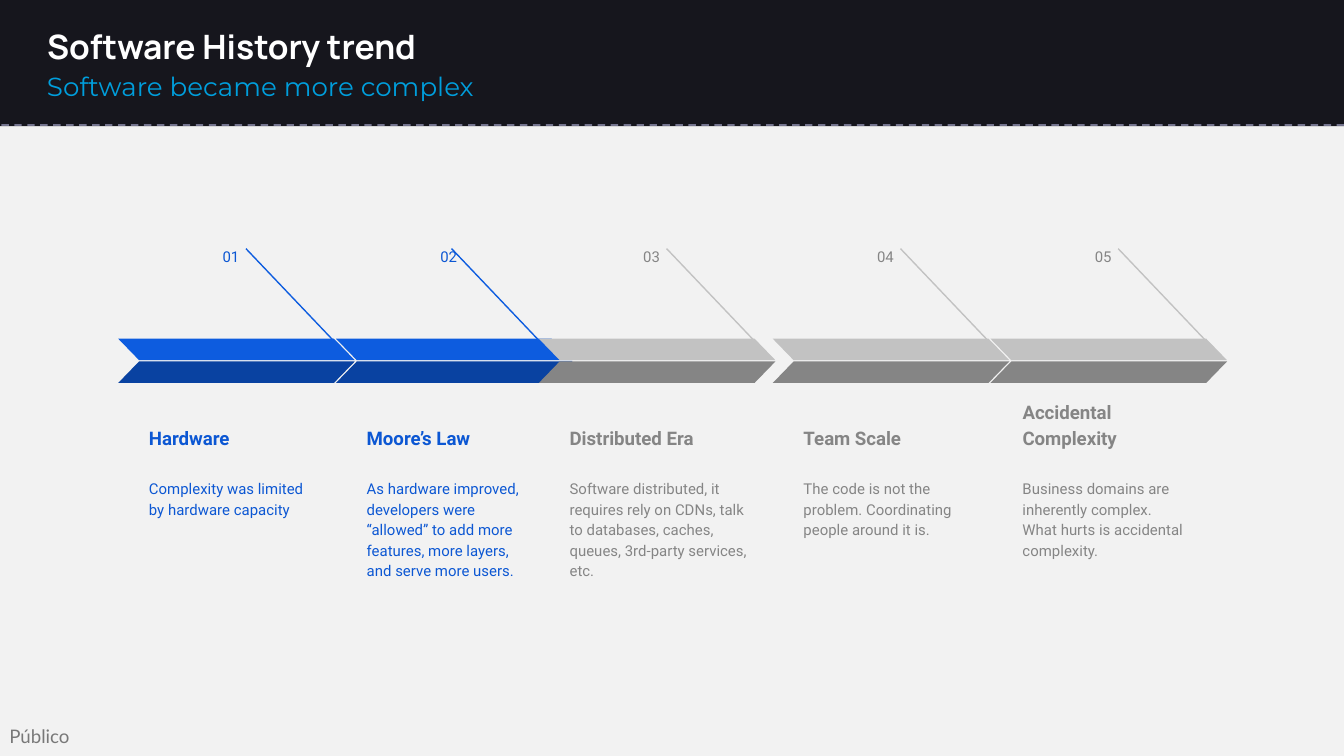
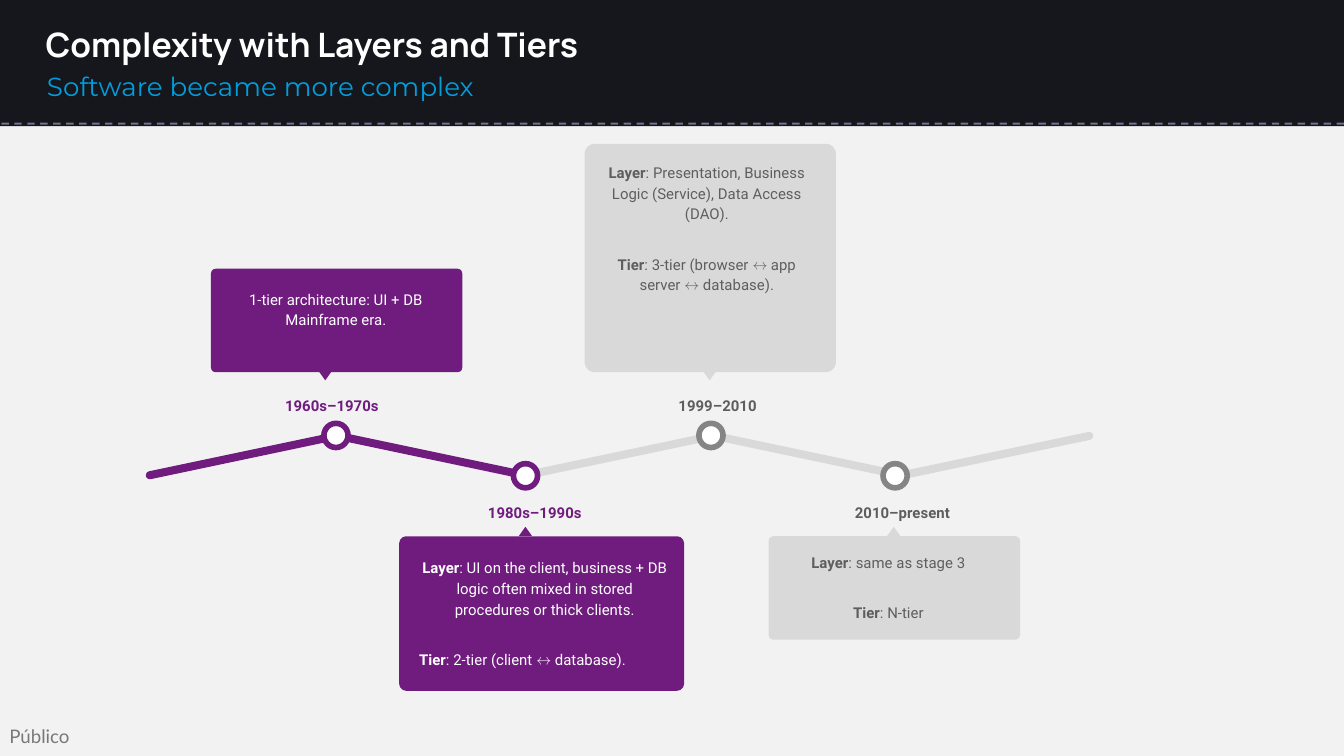
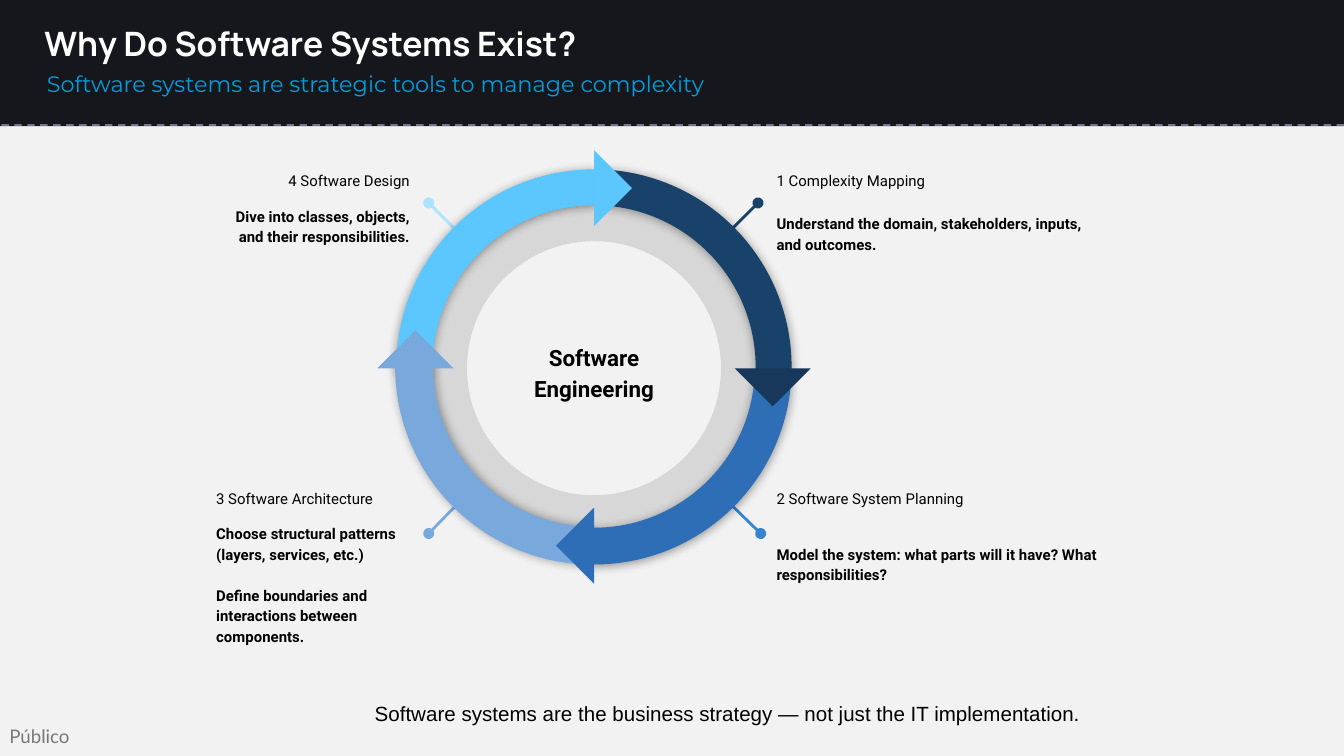
from dataclasses import dataclass
from typing import Any, NamedTuple, Optional

from lxml.etree import SubElement
from pptx import Presentation
from pptx.dml.color import RGBColor
from pptx.enum.dml import MSO_LINE
from pptx.enum.shapes import MSO_CONNECTOR, MSO_SHAPE
from pptx.enum.text import MSO_ANCHOR, MSO_AUTO_SIZE, PP_ALIGN
from pptx.oxml.ns import qn
from pptx.util import Emu, Pt

PX = 9144  # 100 px to the inch
COLORS = {
    "paper": "F2F2F2", "band": "16161D", "white": "FFFFFF", "black": "000000",
    "subtitle": "009EDC", "rule": "D2D2FF",
    "blue": "0D5CDF", "blue_shade": "0942A1", "blue_text": "0C57D3",
    "silver": "C2C2C2", "gray": "858585", "light": "D9D9D9", "dark_text": "5E5E5E",
    "purple": "701C7F",
    "navy": "19426B", "navy_tip": "17375B", "royal": "2E6EB6", "royal_pin": "3984D0",
    "steel": "79A8DD", "sky": "5CC7FF", "sky_pin": "ADE3FF",
}


class Frame(NamedTuple):
    left: int
    top: int
    width: int
    height: int


class Span(NamedTuple):
    text: str
    bold: Optional[bool] = None


class Para(NamedTuple):
    spans: list[Span]
    gap: int = 0
    align: Optional[PP_ALIGN] = None


@dataclass(frozen=True)
class TextStyle:
    font: str
    size: int
    color: str
    bold: bool = False
    align: PP_ALIGN = PP_ALIGN.LEFT
    anchor: MSO_ANCHOR = MSO_ANCHOR.TOP
    spacing: float = 1.15
    inset: tuple[int, int] = (10, 10)
    grow: bool = False


# Shared drawing helpers
def rgb(name: str) -> RGBColor:
    return RGBColor.from_string(COLORS[name])


def emu(*lengths: int) -> list[Emu]:
    return [Emu(length * PX) for length in lengths]


def assign(target: Any, values: dict[str, Any]) -> None:
    for name, value in values.items():
        setattr(target, name, value)


def fade(item: Any, opacity: int) -> None:
    for color in item.element.iter(qn("a:srgbClr")):
        SubElement(color, qn("a:alpha"), val=str(opacity * 1000))


def plain(text: str, gap: int = 0, bold: Optional[bool] = None) -> Para:
    return Para([Span(text, bold)], gap)


def labelled(label: str, text: str, gap: int = 0, align: Optional[PP_ALIGN] = None) -> Para:
    return Para([Span(label, True), Span(text)], gap, align)


def add_text(shapes: Any, frame: Frame, paras: list[Para], style: TextStyle) -> Any:
    box = shapes.add_textbox(*emu(*frame))
    side, upright = emu(*style.inset)
    assign(box.text_frame, {
        "word_wrap": True,
        "auto_size": MSO_AUTO_SIZE.SHAPE_TO_FIT_TEXT if style.grow else MSO_AUTO_SIZE.NONE,
        "vertical_anchor": style.anchor,
        "margin_left": side, "margin_right": side,
        "margin_top": upright, "margin_bottom": upright,
    })
    for index, para in enumerate(paras):
        paragraph = box.text_frame.add_paragraph() if index else box.text_frame.paragraphs[0]
        assign(paragraph, {
            "alignment": para.align or style.align,
            "line_spacing": style.spacing,
            "space_before": Pt(para.gap),
        })
        for span in para.spans:
            run = paragraph.add_run()
            run.text = span.text
            bold = style.bold if span.bold is None else span.bold
            assign(run.font, {"name": style.font, "size": Pt(style.size), "bold": bold})
            run.font.color.rgb = rgb(style.color)
    return box


def add_figure(shapes: Any, kind: MSO_SHAPE, frame: Frame, fill: str,
               adjust: tuple[float, ...] = (), turn: float = 0, flip: bool = False) -> Any:
    shape = shapes.add_shape(kind, *emu(*frame))
    shape.shadow.inherit = False
    shape.fill.solid()
    shape.fill.fore_color.rgb = rgb(fill)
    shape.line.fill.background()
    shape.rotation = turn
    for index, value in enumerate(adjust):
        shape.adjustments[index] = value
    if flip:
        shape.element.spPr.find(qn("a:xfrm")).set("flipH", "1")
    return shape


def add_line(shapes: Any, start: tuple[int, int], end: tuple[int, int],
             color: str, weight: float) -> Any:
    line = shapes.add_connector(MSO_CONNECTOR.STRAIGHT, *emu(*start, *end))
    line.line.color.rgb = rgb(color)
    line.line.width = Pt(weight)
    SubElement(line.element.spPr, qn("a:effectLst"))
    return line


# Shared header and footer
TITLE = TextStyle("Manrope", 18, "white", bold=True, spacing=1.0, inset=(7, 4), grow=True)
FOOTER = TextStyle("Lato", 10, "black", spacing=1.0, inset=(0, 0), grow=True)


@dataclass(frozen=True)
class Header:
    title: str
    subtitle: str
    left: int
    top: int
    subtitle_size: int = 14
    subtitle_width: int = 384
    rule_top: int = 93


def add_page(deck: Any, header: Header) -> Any:
    page = deck.slides.add_slide(deck.slide_layouts[6])
    page.background.fill.solid()
    page.background.fill.fore_color.rgb = rgb("paper")
    shapes = page.shapes
    fade(add_text(shapes, Frame(7, 539, 48, 17), [plain("Público")], FOOTER), 50)
    add_figure(shapes, MSO_SHAPE.RECTANGLE, Frame(0, 0, 1000, 94), "band")
    add_text(shapes, Frame(header.left, header.top, 501, 38), [plain(header.title)], TITLE)
    subtitle = TextStyle("Montserrat", header.subtitle_size, "subtitle",
                         spacing=1.0, inset=(7, 4), grow=True)
    add_text(shapes, Frame(28, 48, header.subtitle_width, 2 * header.subtitle_size + 3),
             [plain(header.subtitle)], subtitle)
    rule = add_line(shapes, (1000, header.rule_top), (0, header.rule_top), "rule", 1)
    rule.line.dash_style = MSO_LINE.DASH
    fade(rule, 50)
    return page


# Slide 1: chevron timeline
class Theme(NamedTuple):
    face: str
    shade: str
    text: str


BLUE = Theme("blue", "blue_shade", "blue_text")
GRAY = Theme("silver", "gray", "gray")


@dataclass(frozen=True)
class Stage:
    left: int
    heading: str
    body: str
    theme: Theme
    leader: int = 95
    body_width: int = 145
    indent: int = 13


STAGES = [
    Stage(88, "Hardware", "Complexity was limited by hardware capacity", BLUE),
    Stage(250, "Moore’s Law", "As hardware improved, developers were “allowed” to add more "
          "features, more layers, and serve more users.", BLUE, leader=86),
    Stage(401, "Distributed Era", "Software distributed, it requires rely on CDNs, talk to "
          "databases, caches, queues, 3rd-party services, etc.", GRAY, body_width=154),
    Stage(575, "Team Scale", "The code is not the problem. Coordinating people around it is.",
          GRAY),
    Stage(737, "Accidental Complexity", "Business domains are inherently complex. What hurts "
          "is accidental complexity.", GRAY, body_width=143, indent=14),
]


def draw_stage(page: Any, number: int, stage: Stage) -> None:
    shapes = page.shapes.add_group_shape().shapes
    theme, left = stage.theme, stage.left
    start = left + stage.leader
    text_left = left + stage.indent
    add_line(shapes, (start, 185), (start + 78, 267), theme.face, 0.75)
    for top, fill, flip in ((252, theme.face, True), (269, theme.shade, False)):
        add_figure(shapes, MSO_SHAPE.PARALLELOGRAM, Frame(left, top, 176, 16), fill,
                   (0.97,), flip=flip)
    add_text(shapes, Frame(text_left, 295, 145, 49), [plain(stage.heading)],
             TextStyle("Roboto", 10, theme.text, bold=True, anchor=MSO_ANCHOR.BOTTOM))
    add_text(shapes, Frame(text_left, 345, stage.body_width, 81), [plain(stage.body)],
             TextStyle("Roboto", 8, theme.text))
    add_text(shapes, Frame(left + 32, 172, 68, 26), [plain(f"{number:02}")],
             TextStyle("Roboto", 8, theme.text, align=PP_ALIGN.RIGHT))


def build_history(deck: Any) -> None:
    page = add_page(deck, Header("Software History trend", "Software became more complex", 28, 15))
    for number, stage in enumerate(STAGES, start=1):
        draw_stage(page, number, stage)


# Slide 2: zigzag timeline with cards
class Level(NamedTuple):
    circle_top: int
    label_top: int
    pointer_top: int
    pointer_turn: int


ABOVE = Level(315, 283, 276, 180)
BELOW = Level(345, 363, 392, 0)


class Palette(NamedTuple):
    card: str
    ring: str
    label: str
    text: str


PURPLE = Palette("purple", "purple", "purple", "white")
SILVER = Palette("light", "gray", "dark_text", "dark_text")


@dataclass(frozen=True)
class Milestone:
    label: str
    label_left: int
    label_width: int
    circle_left: int
    pointer_left: int
    level: Level
    palette: Palette
    card: Frame
    text: Frame
    paras: list[Para]


MILESTONES = [
    Milestone("2010–present", 626, 91, 657, 660, BELOW, SILVER,
              Frame(572, 399, 187, 77), Frame(572, 400, 178, 68),
              [labelled("Layer", ": same as stage 3"), labelled("Tier", ": N-tier", 16)]),
    Milestone("1999–2010", 491, 86, 520, 523, ABOVE, SILVER,
              Frame(435, 107, 187, 170), Frame(435, 110, 182, 159),
              [labelled("Layer", ": Presentation, Business Logic (Service), Data Access (DAO)."),
               labelled("Tier", ": 3-tier (browser ↔ app server ↔ database).", 16)]),
    Milestone("1980s–1990s", 353, 90, 382, 386, BELOW, PURPLE,
              Frame(297, 399, 212, 115), Frame(302, 404, 207, 111),
              [labelled("Layer", ": UI on the client, business + DB logic often mixed in stored "
                        "procedures or thick clients."),
               labelled("Tier", ": 2-tier (client ↔ database).", 16, PP_ALIGN.LEFT)]),
    Milestone("1960s–1970s", 196, 102, 241, 237, ABOVE, PURPLE,
              Frame(157, 200, 187, 77), Frame(161, 204, 178, 68),
              [plain("1-tier architecture: UI + DB Mainframe era.")]),
]


def draw_milestone(page: Any, milestone: Milestone) -> None:
    shapes = page.shapes.add_group_shape().shapes
    level, palette = milestone.level, milestone.palette
    circle = add_figure(shapes, MSO_SHAPE.OVAL,
                        Frame(milestone.circle_left, level.circle_top, 18, 18), "white")
    circle.line.color.rgb = rgb(palette.ring)
    circle.line.width = Pt(3)
    add_text(shapes, Frame(milestone.label_left, level.label_top, milestone.label_width, 30),
             [plain(milestone.label)],
             TextStyle("Roboto", 8, palette.label, bold=True, align=PP_ALIGN.CENTER))
    add_figure(shapes, MSO_SHAPE.ROUNDED_RECTANGLE, milestone.card, palette.card, (4.5 / 100,))
    add_figure(shapes, MSO_SHAPE.ISOSCELES_TRIANGLE,
               Frame(milestone.pointer_left, level.pointer_top, 10, 7), palette.card,
               turn=level.pointer_turn)
    add_text(shapes, milestone.text, milestone.paras,
             TextStyle("Roboto", 8, palette.text, align=PP_ALIGN.CENTER))


def build_tiers(deck: Any) -> None:
    page = add_page(deck, Header("Complexity with Layers and Tiers",
                                 "Software became more complex", 27, 14, rule_top=92))
    # Right to left, so the purple segments lie on top
    for index in reversed(range(5)):
        add_figure(page.shapes, MSO_SHAPE.ROUNDED_RECTANGLE,
                   Frame(107 + 140 * index, 336, 148, 6),
                   "purple" if index < 2 else "light", (0.5,),
                   turn=11.9 if index % 2 else 348.1)
    for milestone in MILESTONES:
        draw_milestone(page, milestone)


# Slide 3: cycle of four arrows
class Callout(NamedTuple):
    pin: tuple[int, int]
    ring_point: tuple[int, int]
    color: str
    frame: Frame
    paras: list[Para]
    align: PP_ALIGN = PP_ALIGN.LEFT


class Arc(NamedTuple):
    left: int
    turn: int
    start: float
    end: float
    thickness: float
    color: str
    flip: bool = False
    shadow_angle: int = 90


class Tip(NamedTuple):
    left: int
    top: int
    turn: int
    color: str


CALLOUTS = [
    Callout((319, 151), (356, 188), "sky_pin", Frame(151, 116, 164, 73),
            [plain("4 Software Design"),
             plain("Dive into classes, objects, and their responsibilities.", 8, True)],
            PP_ALIGN.RIGHT),
    Callout((319, 397), (356, 359), "steel", Frame(151, 352, 175, 150),
            [plain("3 Software Architecture"),
             plain("Choose structural patterns (layers, services, etc.)", 8, True),
             plain("Define boundaries and interactions between components.", 11, True)]),
    Callout((566, 397), (527, 359), "royal_pin", Frame(568, 352, 280, 93),
            [plain("2 Software System Planning"),
             plain("Model the system: what parts will it have? What responsibilities?",
                   19, True)]),
    Callout((564, 151), (527, 188), "navy", Frame(568, 116, 267, 98),
            [plain("1 Complexity Mapping"),
             plain("Understand the domain, stakeholders, inputs, and outcomes.", 12, True)]),
]
ARCS = [
    Arc(295, 330, 143.49, 198.72, 9.1, "sky", flip=True),
    Arc(295, 30, 145.46, 199.02, 9.1, "navy"),
    Arc(294, 150, 180.42, 17.99, 9.6, "steel", shadow_angle=0),
    Arc(295, 210, 179.67, 15.3, 9.3, "royal", flip=True),
]
TIPS = [
    Tip(289, 254, 135, "steel"),
    Tip(555, 254, 315, "navy_tip"),
    Tip(422, 386, 45, "royal"),
    Tip(422, 120, 225, "sky"),
]


def draw_callout(page: Any, callout: Callout) -> None:
    shapes = page.shapes.add_group_shape().shapes
    line = add_line(shapes, callout.pin, callout.ring_point, callout.color, 1.5)
    SubElement(line.element.spPr.find(qn("a:ln")), qn("a:headEnd"), type="oval")
    add_text(shapes, callout.frame, callout.paras,
             TextStyle("Roboto", 8, "black", align=callout.align))


def draw_arc(page: Any, arc: Arc) -> None:
    shape = add_figure(page.shapes, MSO_SHAPE.BLOCK_ARC, Frame(arc.left, 126, 294, 294),
                       arc.color, (arc.start, arc.end, arc.thickness / 100), arc.turn, arc.flip)
    shadow = SubElement(shape.element.spPr.find(qn("a:effectLst")), qn("a:outerShdw"),
                        blurRad=str(Pt(5.6)), dist=str(Pt(0.8)),
                        dir=str(arc.shadow_angle * 60000), rotWithShape="0")
    color = SubElement(shadow, qn("a:srgbClr"), val=COLORS["black"])
    SubElement(color, qn("a:alpha"), val="40000")


def build_cycle(deck: Any) -> None:
    page = add_page(deck, Header("Why Do Software Systems Exist?",
                                 "Software systems are strategic tools to manage complexity",
                                 26, 13, subtitle_size=12, subtitle_width=610))
    shapes = page.shapes
    add_text(shapes, Frame(269, 512, 553, 39),
             [plain("Software systems are the business strategy — "
                    "not just the IT implementation.")],
             TextStyle("Arial", 11, "black", spacing=1.0, grow=True))
    fade(add_figure(shapes, MSO_SHAPE.DONUT, Frame(303, 135, 278, 278), "black", (0.16,)), 11)
    for callout in CALLOUTS:
        draw_callout(page, callout)
    add_text(shapes, Frame(363, 232, 158, 88), [plain("Software Engineering")],
             TextStyle("Roboto", 12, "black", bold=True, align=PP_ALIGN.CENTER,
                       anchor=MSO_ANCHOR.MIDDLE))
    for arc in ARCS:
        draw_arc(page, arc)
    for tip in TIPS:
        add_figure(shapes, MSO_SHAPE.RIGHT_TRIANGLE, Frame(tip.left, tip.top, 40, 40),
                   tip.color, turn=tip.turn)


def main() -> None:
    deck = Presentation()
    deck.slide_width = Emu(1000 * PX)
    deck.slide_height = Emu(deck.slide_width * 9 // 16)
    for build in (build_history, build_tiers, build_cycle):
        build(deck)
    deck.save("out.pptx")


if __name__ == "__main__":
    main()
